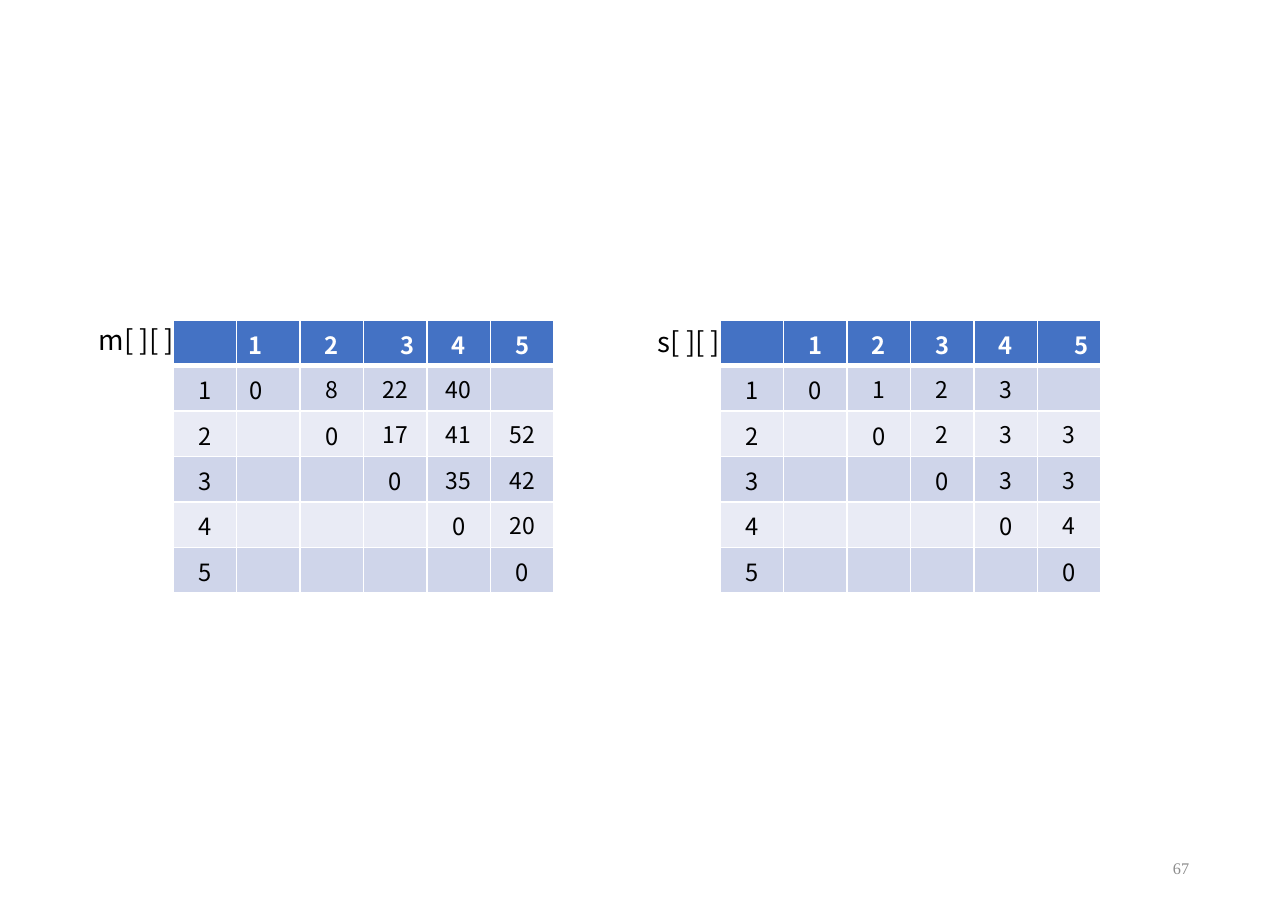
from pptx import Presentation
from pptx.dml.color import RGBColor
from pptx.enum.text import MSO_ANCHOR, MSO_AUTO_SIZE, PP_ALIGN
from pptx.oxml import parse_xml
from pptx.oxml.ns import nsdecls
from pptx.util import Emu, Pt

PX = 914400 / 110.2
BLACK = RGBColor(0x00, 0x00, 0x00)
WHITE = RGBColor(0xFF, 0xFF, 0xFF)
GREY = RGBColor(0x8C, 0x8C, 0x8C)
HEADER_BLUE = RGBColor(0x44, 0x72, 0xC4)
BANDS = RGBColor(0xE9, 0xEB, 0xF5), RGBColor(0xCF, 0xD5, 0xEA)
SANS = "Noto Sans CJK SC"
SERIF = "Times New Roman"
INDENT = 25

COSTS = [
    ["", "1", "2", "3", "4", "5"],
    ["1", "0", "8", "22", "40", ""],
    ["2", "", "0", "17", "41", "52"],
    ["3", "", "", "0", "35", "42"],
    ["4", "", "", "", "0", "20"],
    ["5", "", "", "", "", "0"],
]
SPLITS = [
    ["", "1", "2", "3", "4", "5"],
    ["1", "0", "1", "2", "3", ""],
    ["2", "", "0", "2", "3", "3"],
    ["3", "", "", "0", "3", "3"],
    ["4", "", "", "", "0", "4"],
    ["5", "", "", "", "", "0"],
]


def px(length):
    return Emu(round(length * PX))


def write_text(frame, text, size=18, font=SANS, color=BLACK, bold=False,
               align=PP_ALIGN.LEFT, indents=None):
    para = frame.paragraphs[0]
    para.alignment = align
    for side, length in (indents or {}).items():
        para._p.get_or_add_pPr().set(side, str(px(length)))
    span = para.add_run()
    span.text = text
    span.font.size = Pt(size)
    span.font.name = font
    span.font.bold = bold
    span.font.color.rgb = color


class MatrixSlide:
    def __init__(self, deck):
        self.page = deck.slides.add_slide(deck.slide_layouts[6])

    def label(self, left, top, width, height, text,
              anchor=MSO_ANCHOR.TOP, fit=MSO_AUTO_SIZE.NONE, **style):
        box = self.page.shapes.add_textbox(px(left), px(top), px(width), px(height))
        frame = box.text_frame
        frame.word_wrap = True
        frame.auto_size = fit
        frame.vertical_anchor = anchor
        write_text(frame, text, **style)

    def borders(self, cell, row):
        widths = {"L": 1, "R": 1, "T": 3 if row == 1 else 1, "B": 3 if row == 0 else 1}
        for side, points in widths.items():
            cell._tc.get_or_add_tcPr().append(parse_xml(
                f'<a:ln{side} {nsdecls("a")} w="{Pt(points)}"><a:solidFill>'
                f'<a:srgbClr val="{WHITE}"/></a:solidFill></a:ln{side}>'))

    def matrix(self, left, top, width, height, values, special):
        """Draw a matrix; special holds the text format of single cells."""
        size = len(values)
        table = self.page.shapes.add_table(
            size, size, px(left), px(top), px(width), px(height)).table
        table.horz_banding = False
        for row, line in enumerate(values):
            for column, text in enumerate(line):
                cell = table.cell(row, column)
                self.borders(cell, row)
                cell.fill.solid()
                cell.fill.fore_color.rgb = BANDS[row % 2] if row else HEADER_BLUE
                cell.vertical_anchor = MSO_ANCHOR.MIDDLE
                computed = 0 < row < column
                cell.margin_left = cell.margin_right = cell.margin_bottom = 0
                cell.margin_top = 0 if computed else px(2)
                if text:
                    style = {"size": 15 if computed else 15.5,
                             "color": BLACK if row else WHITE,
                             "bold": row == 0, "align": PP_ALIGN.CENTER}
                    style.update(special.get((row, column), {}))
                    write_text(cell.text_frame, text, **style)


def main():
    deck = Presentation()
    deck.slide_width, deck.slide_height = px(1288), px(911)
    slide = MatrixSlide(deck)

    # Slide number
    slide.label(910, 844, 290, 48, "67", anchor=MSO_ANCHOR.MIDDLE, size=10.6,
                font=SERIF, color=GREY, align=PP_ALIGN.RIGHT)

    # Cost and split matrices with their names
    pushed_right = {"indents": {"marL": INDENT}}
    pushed_left = {"indents": {"marR": INDENT}}
    from_left = {"indents": {"marL": INDENT}, "align": PP_ALIGN.LEFT}
    matrices = [
        (173, COSTS, {(0, 1): pushed_left, (1, 1): pushed_left,
                      (0, 3): pushed_right, (3, 3): from_left}, "m[ ][ ]", 88, 318),
        (720, SPLITS, {(0, 5): pushed_right, (5, 5): from_left}, "s[ ][ ]", 647, 320),
    ]
    for left, values, special, name, name_left, name_top in matrices:
        slide.matrix(left, 320, 381, 273, values, special)
        slide.label(name_left, name_top, 147, 44, name,
                    fit=MSO_AUTO_SIZE.SHAPE_TO_FIT_TEXT)

    deck.save("out.pptx")


if __name__ == "__main__":
    main()
